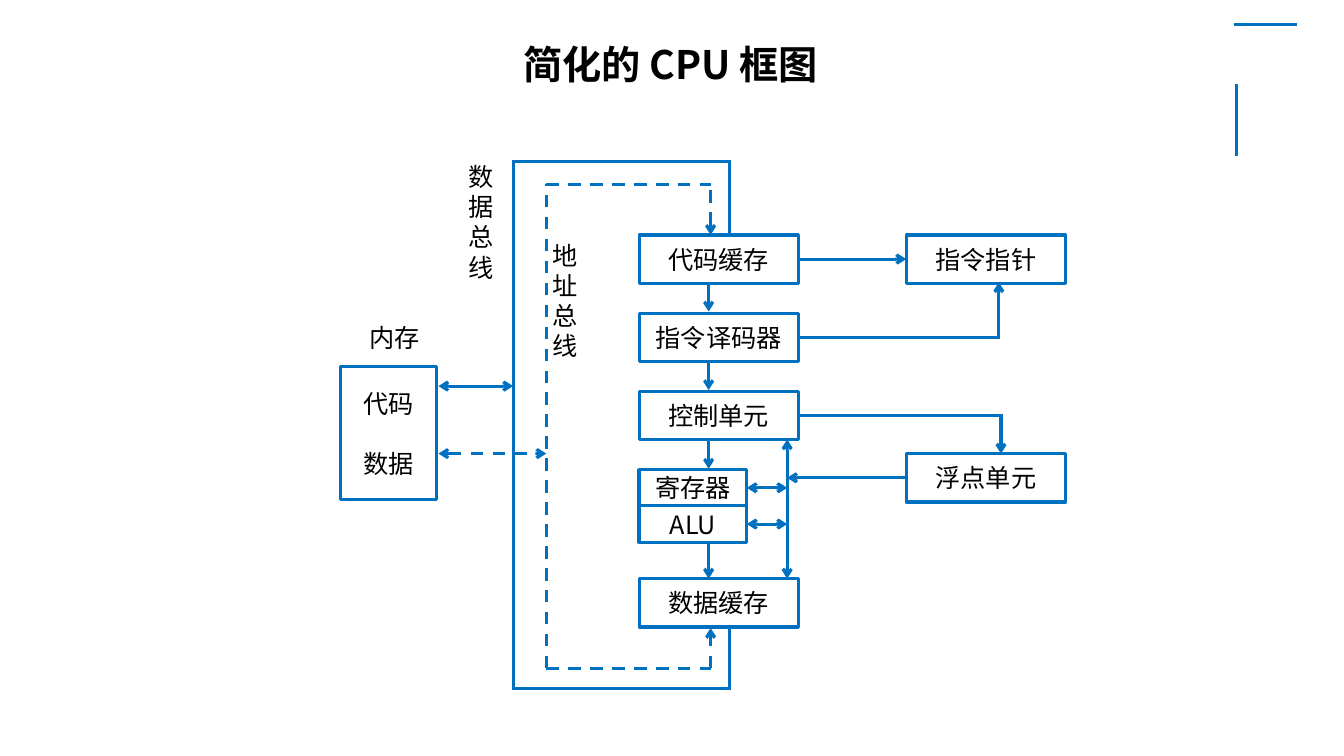
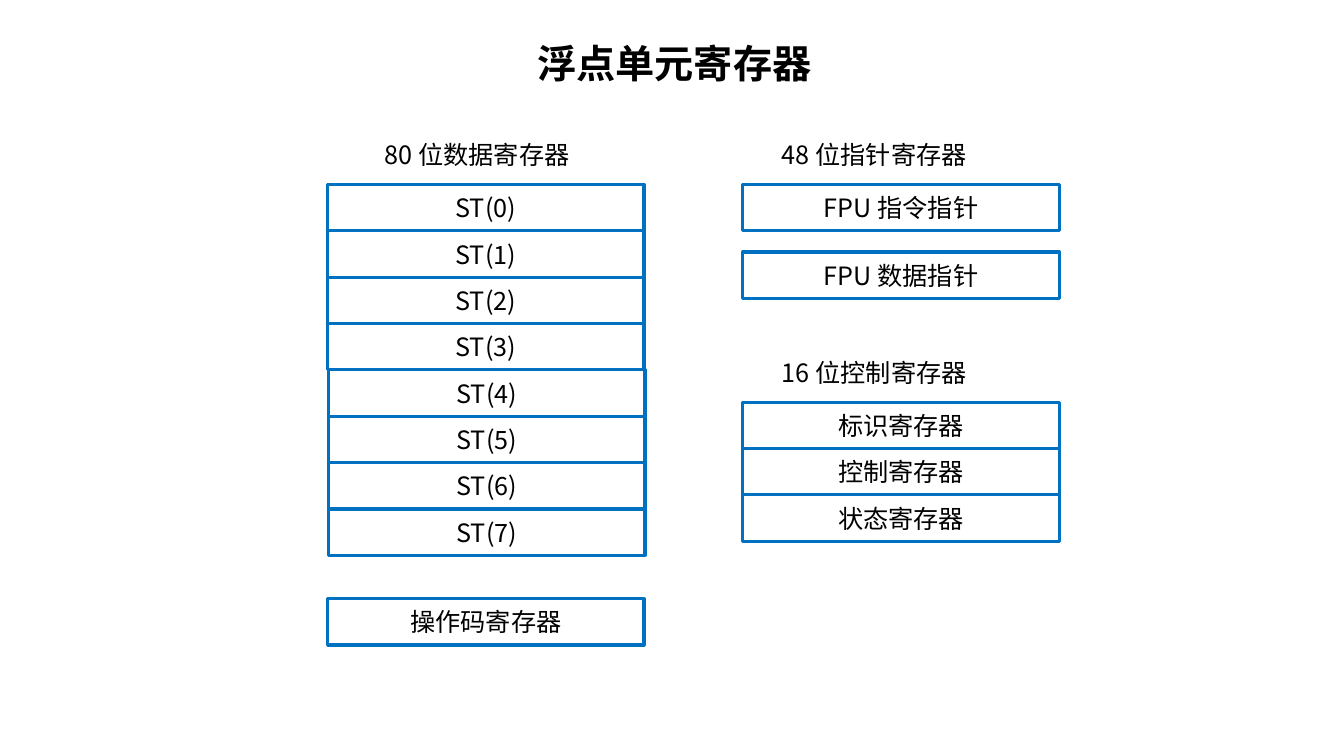
"""Build two slides: a simplified CPU diagram and the floating-point registers."""
from dataclasses import dataclass
from itertools import pairwise

from lxml.etree import SubElement
from pptx import Presentation
from pptx.dml.color import RGBColor
from pptx.enum.dml import MSO_LINE
from pptx.enum.shapes import MSO_CONNECTOR, MSO_SHAPE
from pptx.enum.text import MSO_ANCHOR, MSO_AUTO_SIZE, PP_ALIGN
from pptx.oxml.ns import qn
from pptx.util import Pt


@dataclass(frozen=True)
class Theme:
    """Shared colours, font and sizes."""
    accent: RGBColor = RGBColor(0x00, 0x70, 0xC0)
    ink: RGBColor = RGBColor(0x00, 0x00, 0x00)
    paper: RGBColor = RGBColor(0xFF, 0xFF, 0xFF)
    font: str = "Noto Sans CJK SC"
    title_size: float = 28
    body_size: float = 18
    line_width: float = 2.25
    paragraph_gap: float = 21.4


THEME = Theme()
TOP, LEFT, BOTTOM, RIGHT = range(4)
TITLE_SIZE = (294.5, 41)

UNIT_WIDTH, UNIT_HEIGHT = 113.8, 34.6
CORE_LEFT, OUTER_LEFT = 456.5, 647.3
CPU_UNITS = [
    ("代码缓存", CORE_LEFT, 167.8),
    ("指令译码器", CORE_LEFT, 223.9),
    ("控制单元", CORE_LEFT, 279.4),
    ("数据缓存", CORE_LEFT, 413.3),
    ("指令指针", OUTER_LEFT, 167.8),
    ("浮点单元", OUTER_LEFT, 324),
]
REGISTER_WIDTH, REGISTER_HEIGHT, REGISTER_TOP = 77, 25.9, 335.5
CORE_REGISTERS = ["寄存器", "ALU"]
MEMORY_LINES, MEMORY_BOX = ["代码", "数据"], (243.4, 262.1, 68.4, 95)
CPU_LABELS = [
    (["内存"], (257, 226.8, 55.4, 28.8)),
    (list("数据总线"), (327.6, 111.6, 33, 95)),
    (list("地址总线"), (387.4, 167.8, 33, 95)),
]

DATA_BUS, ADDRESS_BUS, INNER_BUS = 366.5, 390.2, 562.3
DATA_DROP, ADDRESS_DROP = 521.3, 507.6
FLOW, MEMORY_EDGE = 506.2, 313.2
CORNER_MARKS = [
    ([(881.3, 17.3), (926.6, 17.3)], "", False),
    ([(883.4, 111.6), (883.4, 59.8)], "", False),
]
CPU_ROUTES = [
    ([(DATA_DROP, 167.8), (DATA_DROP, 115.2), (DATA_BUS, 115.2),
      (DATA_BUS, 491.8), (DATA_DROP, 491.8), (DATA_DROP, 448.6)], "", False),
    ([(ADDRESS_BUS, 477.4), (ADDRESS_BUS, 131.8), (ADDRESS_DROP, 131.8)], "", True),
    ([(ADDRESS_DROP, 167.8), (ADDRESS_DROP, 131.8)], "start", True),
    ([(ADDRESS_BUS, 477.4), (ADDRESS_DROP, 477.4), (ADDRESS_DROP, 448.6)], "end", True),
    ([(FLOW, 201.6), (FLOW, 222.5)], "end", False),
    ([(FLOW, 257.8), (FLOW, 278.6)], "end", False),
    ([(FLOW, 313.9), (FLOW, 334.8)], "end", False),
    ([(FLOW, 387.4), (FLOW, 413.3)], "end", False),
    ([("代码缓存", RIGHT), ("指令指针", LEFT)], "end", False),
    ([("指令译码器", RIGHT), (713.5, 241.2), (713.5, 201.6)], "end", False),
    ([("控制单元", RIGHT), (715, 296.7), (715, 324)], "end", False),
    ([(INNER_BUS, 313.9), (INNER_BUS, 413.3)], "both", False),
    ([("寄存器", RIGHT), (INNER_BUS, 348.45)], "both", False),
    ([("ALU", RIGHT), (INNER_BUS, 374.35)], "both", False),
    ([("浮点单元", LEFT), (INNER_BUS, 341.3)], "end", False),
    ([(MEMORY_EDGE, 275.8), (DATA_BUS, 275.8)], "both", False),
    ([(MEMORY_EDGE, 324), (ADDRESS_BUS, 324)], "both", True),
]

BANK_WIDTH, BANK_HEIGHT = 226.1, 33.12
BANK_LEFT, POINTER_LEFT = 234, 530.6
REGISTER_BANKS = [
    (BANK_LEFT, 131.8, BANK_HEIGHT, [f"ST({index})" for index in range(4)]),
    (BANK_LEFT + 0.7, 264.2, BANK_HEIGHT, [f"ST({index})" for index in range(4, 8)]),
    (BANK_LEFT, 427.7, BANK_HEIGHT, ["操作码寄存器"]),
    (POINTER_LEFT, 131.8, 48.2, ["FPU 指令指针", "FPU 数据指针"]),
    (POINTER_LEFT, 287.3, BANK_HEIGHT, ["标识寄存器", "控制寄存器", "状态寄存器"]),
]
BANK_LABELS = [
    ("80 位数据寄存器", 267.8, 95.8),
    ("48 位指针寄存器", 551.5, 95.8),
    ("16 位控制寄存器", 551.5, 252),
]


def apply(target, values):
    """Set each named attribute on the target."""
    for name, value in values.items():
        setattr(target, name, value)


def write(shape, lines, size=THEME.body_size, bold=False, align=PP_ALIGN.LEFT,
          anchor=MSO_ANCHOR.TOP, gap=0):
    """Fill a shape with one formatted paragraph per line."""
    frame = shape.text_frame
    apply(frame, {"word_wrap": True, "auto_size": MSO_AUTO_SIZE.NONE,
                  "vertical_anchor": anchor})
    for index, line in enumerate(lines):
        paragraph = frame.add_paragraph() if index else frame.paragraphs[0]
        apply(paragraph, {"alignment": align, "space_before": Pt(gap if index else 0)})
        run = paragraph.add_run()
        run.text = line
        apply(run.font, {"name": THEME.font, "size": Pt(size), "bold": bold})
        run.font.color.rgb = THEME.ink
        SubElement(run.font._element, qn("a:ea"), typeface=THEME.font)


def add_titled_slide(presentation, title, left, top):
    """Add a title-only slide with a placed title."""
    slide = presentation.slides.add_slide(presentation.slide_layouts[5])
    slide.background.fill.solid()
    slide.background.fill.fore_color.rgb = THEME.paper
    width, height = TITLE_SIZE
    apply(slide.shapes.title, {"left": Pt(left), "top": Pt(top),
                               "width": Pt(width), "height": Pt(height)})
    write(slide.shapes.title, [title], THEME.title_size, True)
    return slide


def add_box(slide, lines, bounds, gap=0):
    """Add an outlined rectangle with centred text."""
    shape = slide.shapes.add_shape(MSO_SHAPE.RECTANGLE, *map(Pt, bounds))
    shape.shadow.inherit = False
    shape.fill.background()
    shape.line.color.rgb = THEME.accent
    shape.line.width = Pt(THEME.line_width)
    write(shape, lines, align=PP_ALIGN.CENTER, anchor=MSO_ANCHOR.MIDDLE, gap=gap)
    return shape


def add_label(slide, lines, bounds):
    """Add a plain text box."""
    write(slide.shapes.add_textbox(*map(Pt, bounds)), lines)


def add_segment(slide, start, end, arrows, dashed, square):
    """Add one straight connector with optional arrowheads."""
    connector = slide.shapes.add_connector(
        MSO_CONNECTOR.STRAIGHT, *map(Pt, (*start, *end)))
    connector.line.color.rgb = THEME.accent
    connector.line.width = Pt(THEME.line_width)
    if dashed:
        connector.line.dash_style = MSO_LINE.DASH
    properties = connector._element.spPr
    outline = properties.find(qn("a:ln"))
    if square:
        outline.set("cap", "sq")
    for side, tag in (("start", "a:headEnd"), ("end", "a:tailEnd")):
        if arrows in (side, "both"):
            SubElement(outline, qn(tag), type="arrow")
    SubElement(properties, qn("a:effectLst"))
    return connector


def side_point(shape, side):
    """Return the middle of a rectangle's side in points."""
    column = {LEFT: 0, RIGHT: 1}.get(side, 0.5)
    row = {TOP: 0, BOTTOM: 1}.get(side, 0.5)
    return ((shape.left + shape.width * column) / Pt(1),
            (shape.top + shape.height * row) / Pt(1))


def add_route(slide, stops, arrows, dashed, shapes):
    """Draw a route through points and rectangle sides."""
    points = [side_point(shapes[stop[0]], stop[1]) if stop[0] in shapes else stop
              for stop in stops]
    last = len(points) - 2
    square = last > 0 and not dashed
    for index, (start, end) in enumerate(pairwise(points)):
        heads = arrows
        if (arrows == "end" and index < last) or (arrows == "start" and index):
            heads = ""
        connector = add_segment(slide, start, end, heads, dashed, square)
        for stop, join in ((stops[index], connector.begin_connect),
                           (stops[index + 1], connector.end_connect)):
            if stop[0] in shapes:
                join(shapes[stop[0]], stop[1])


def build_cpu_slide(presentation):
    """Build the CPU block diagram."""
    slide = add_titled_slide(presentation, "简化的 CPU 框图", 366.5, 25.2)
    shapes = {name: add_box(slide, [name], (left, top, UNIT_WIDTH, UNIT_HEIGHT))
              for name, left, top in CPU_UNITS}
    for index, name in enumerate(CORE_REGISTERS):
        top = REGISTER_TOP + index * REGISTER_HEIGHT
        shapes[name] = add_box(
            slide, [name], (CORE_LEFT, top, REGISTER_WIDTH, REGISTER_HEIGHT))
    add_box(slide, MEMORY_LINES, MEMORY_BOX, THEME.paragraph_gap)
    for stops, arrows, dashed in CORNER_MARKS + CPU_ROUTES:
        add_route(slide, stops, arrows, dashed, shapes)
    for lines, bounds in CPU_LABELS:
        add_label(slide, lines, bounds)


def build_register_slide(presentation):
    """Build the floating-point register banks."""
    slide = add_titled_slide(presentation, "浮点单元寄存器", 376.6, 24.5)
    for left, top, pitch, names in REGISTER_BANKS:
        for index, name in enumerate(names):
            add_box(slide, [name], (left, top + index * pitch, BANK_WIDTH, BANK_HEIGHT))
    for text, left, top in BANK_LABELS:
        add_label(slide, [text], (left, top, 185, 28.8))


def main():
    """Build and save the presentation."""
    presentation = Presentation()
    apply(presentation, {"slide_width": Pt(960), "slide_height": Pt(540)})
    build_cpu_slide(presentation)
    build_register_slide(presentation)
    presentation.save("out.pptx")


if __name__ == "__main__":
    main()
